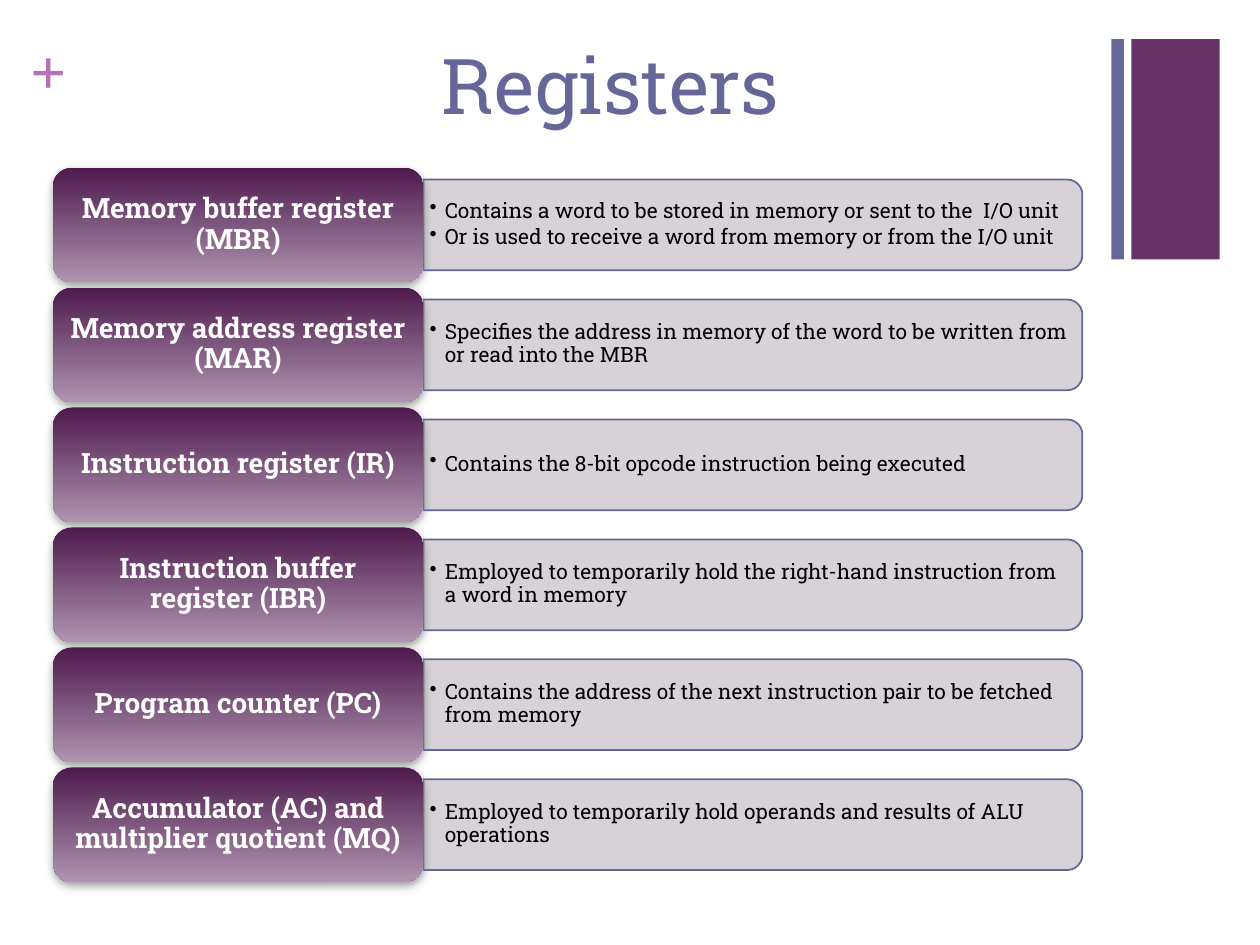
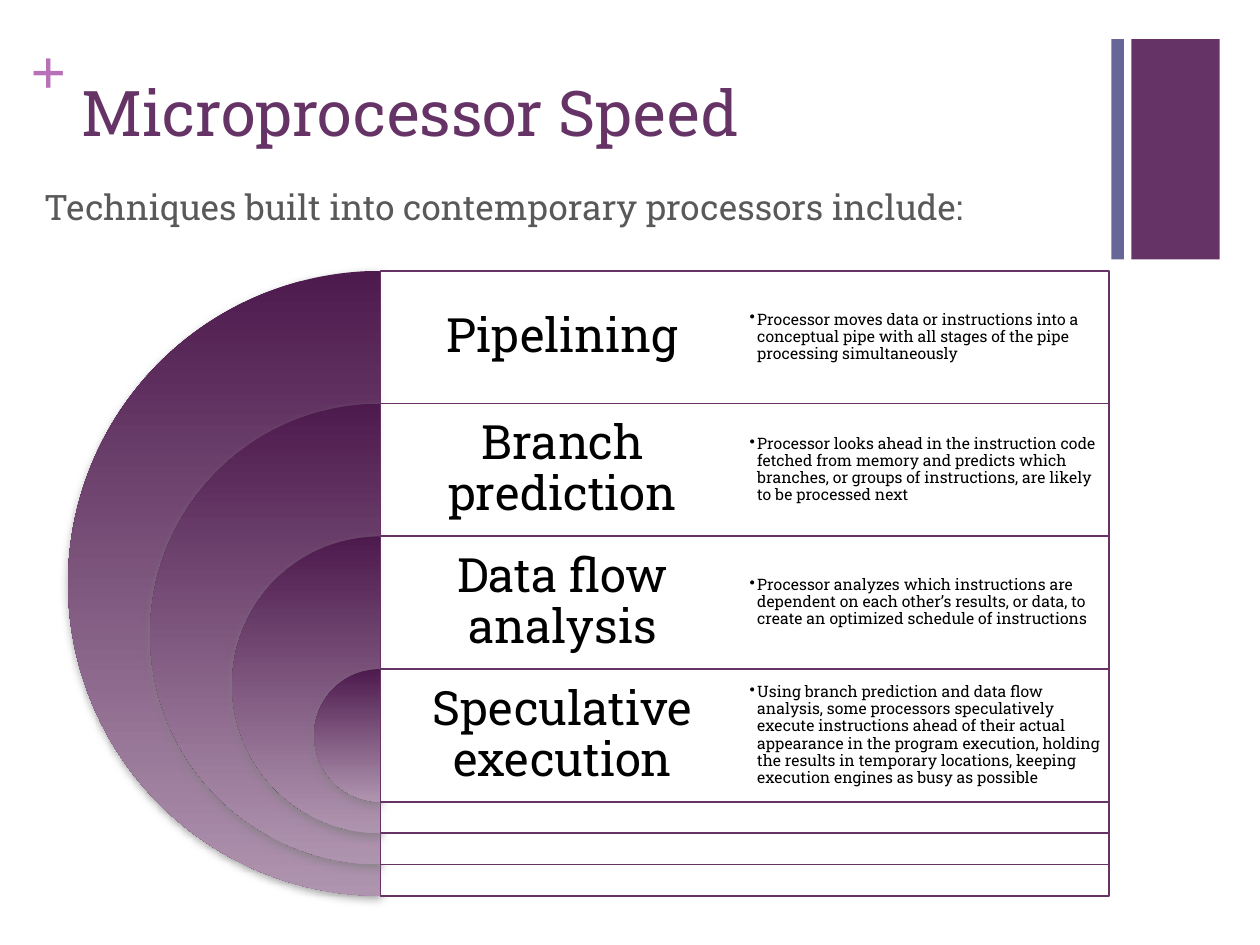
from lxml import etree
from pptx import Presentation
from pptx.dml.color import RGBColor
from pptx.enum.shapes import MSO_SHAPE
from pptx.enum.text import MSO_ANCHOR, MSO_AUTO_SIZE, PP_ALIGN
from pptx.oxml.ns import qn
from pptx.util import Inches, Pt

RECT = MSO_SHAPE.RECTANGLE
ROUNDED = MSO_SHAPE.ROUNDED_RECTANGLE
ROUND_TOP = MSO_SHAPE.ROUND_2_SAME_RECTANGLE
PIE = MSO_SHAPE.PIE
TOP, MIDDLE = MSO_ANCHOR.TOP, MSO_ANCHOR.MIDDLE
LEFT, CENTER, RIGHT = PP_ALIGN.LEFT, PP_ALIGN.CENTER, PP_ALIGN.RIGHT
NO_FIT = MSO_AUTO_SIZE.NONE

PURPLE = RGBColor(0x66, 0x33, 0x66)
SLATE = RGBColor(0x66, 0x66, 0x99)
ORCHID = RGBColor(0xB8, 0x70, 0xB8)
DEEP_PLUM = RGBColor(0x4D, 0x1A, 0x4D)
PALE_PLUM = RGBColor(0xAF, 0x94, 0xAF)
BAR_GRAY = RGBColor(0xD3, 0xCE, 0xD3)
TEXT_GRAY = RGBColor(0x59, 0x59, 0x59)
SHADOW_GRAY = RGBColor(0x80, 0x80, 0x80)
BLACK = RGBColor(0, 0, 0)
WHITE = RGBColor(0xFF, 0xFF, 0xFF)

FONT = "Roboto Slab"
MARK_FONT = "Times New Roman"
TITLE_ONLY, TITLE_AND_BODY = 5, 1

REGISTERS = [
    ("Memory buffer register (MBR)",
     ["Contains a word to be stored in memory or sent to the  I/O unit",
      "Or is used to receive a word from memory or from the I/O unit"]),
    ("Memory address register (MAR)",
     ["Specifies the address in memory of the word to be written from or read into the MBR"]),
    ("Instruction register (IR)",
     ["Contains the 8-bit opcode instruction being executed"]),
    ("Instruction buffer register (IBR)",
     ["Employed to temporarily hold the right-hand instruction from a word in memory"]),
    ("Program counter (PC)",
     ["Contains the address of the next instruction pair to be fetched from memory"]),
    ("Accumulator (AC) and multiplier quotient (MQ)",
     ["Employed to temporarily hold operands and results of ALU operations"]),
]

TECHNIQUES = [
    ("Pipelining",
     "Processor moves data or instructions into a conceptual pipe with all stages "
     "of the pipe processing simultaneously"),
    ("Branch prediction",
     "Processor looks ahead in the instruction code fetched from memory and predicts "
     "which branches, or groups of instructions, are likely to be processed next"),
    ("Data flow analysis",
     "Processor analyzes which instructions are dependent on each other’s results, "
     "or data, to create an optimized schedule of instructions"),
    ("Speculative execution",
     "Using branch prediction and data flow analysis, some processors speculatively "
     "execute instructions ahead of their actual appearance in the program execution, "
     "holding the results in temporary locations, keeping execution engines as busy "
     "as possible"),
]


def add_run(p, text, size, color, bold=False, font=FONT):
    r = p.add_run()
    r.text = text
    r.font.name = font
    r.font.size = Pt(size)
    r.font.bold = bold
    r.font.color.rgb = color


def set_frame(tf, inset_x, inset_y, anchor=MIDDLE):
    tf.word_wrap = True
    tf.auto_size = NO_FIT
    tf.vertical_anchor = anchor
    tf.margin_left = tf.margin_right = Inches(inset_x)
    tf.margin_top = tf.margin_bottom = Inches(inset_y)


def add_text_frame(slide, box, inset_x, inset_y):
    tf = slide.shapes.add_textbox(*map(Inches, box)).text_frame
    set_frame(tf, inset_x, inset_y)
    return tf


def write_label(tf, text, size, color, bold=False):
    p = tf.paragraphs[0]
    p.alignment = CENTER
    p.line_spacing = 0.9
    add_run(p, text, size, color, bold)


def write_bullets(tf, items, size, indent):
    for i, item in enumerate(items):
        p = tf.add_paragraph() if i else tf.paragraphs[0]
        p.level = 1
        pPr = p._p.get_or_add_pPr()
        pPr.set("marL", str(Inches(indent)))
        pPr.set("indent", str(-Inches(indent)))
        etree.SubElement(pPr, qn("a:buChar"), char="•")
        p.alignment = LEFT
        p.line_spacing = 0.9
        p.space_after = Pt(2)
        add_run(p, item, size, BLACK)


def add_solid(slide, kind, box, fill, line=None, opacity=None):
    sp = slide.shapes.add_shape(kind, *map(Inches, box))
    sp.shadow.inherit = False
    sp.fill.solid()
    sp.fill.fore_color.rgb = fill
    if opacity:
        clr = sp._element.spPr.find(qn("a:solidFill"))[0]
        etree.SubElement(clr, qn("a:alpha"), val=str(opacity * 1000))
    if line is None:
        sp.line.fill.background()
    else:
        sp.line.color.rgb = line
        sp.line.width = Pt(1)
    return sp


def add_gradient(slide, kind, box):
    sp = slide.shapes.add_shape(kind, *map(Inches, box))
    sp.fill.gradient()
    sp.fill.gradient_angle = 270
    for stop, color in zip(sp.fill.gradient_stops, (DEEP_PLUM, PALE_PLUM)):
        stop.color.rgb = color
    sp.line.fill.background()
    sp.shadow.inherit = False
    effects = sp._element.spPr.find(qn("a:effectLst"))
    shadow = etree.SubElement(effects, qn("a:outerShdw"), blurRad=str(Pt(5)),
                              dist=str(Pt(2)), dir="5400000", rotWithShape="0")
    clr = etree.SubElement(shadow, qn("a:srgbClr"), val=str(SHADOW_GRAY))
    etree.SubElement(clr, qn("a:alpha"), val="75000")
    return sp


def fill_placeholder(ph, box, text, size, color, align=LEFT):
    ph.left, ph.top, ph.width, ph.height = map(Inches, box)
    set_frame(ph.text_frame, 0.1, 0.05, TOP)
    p = ph.text_frame.paragraphs[0]
    p.alignment = align
    add_run(p, text, size, color)
    return p


def add_slide(prs, layout, title, box, size, color, align=LEFT):
    slide = prs.slides.add_slide(prs.slide_layouts[layout])
    fill_placeholder(slide.shapes.title, box, title, size, color, align)
    add_solid(slide, RECT, (8.98, 0.31, 0.7, 1.75), PURPLE)
    add_solid(slide, RECT, (8.82, 0.31, 0.1, 1.75), SLATE)
    tf = add_text_frame(slide, (0.24, 0.25, 0.29, 0.61), 0, 0)
    tf.vertical_anchor = TOP
    tf.word_wrap = False
    add_run(tf.paragraphs[0], "+", 36, ORCHID, True, MARK_FONT)
    return slide


def add_register(slide, top, name, notes):
    bar_left, bar_w, bar_h, label_h = 3.36, 5.23, 0.72, 0.91
    middle = top + label_h / 2
    bar = add_solid(slide, ROUND_TOP,
                    (bar_left + (bar_w - bar_h) / 2, middle - bar_w / 2, bar_h, bar_w),
                    BAR_GRAY, SLATE, 90)
    bar.rotation = 90
    tf = add_text_frame(slide, (bar_left, middle - 0.33, 5.19, 0.65), 0.05, 0.03)
    write_bullets(tf, notes, 12, 0.12)
    label = add_gradient(slide, ROUNDED, (0.42, top, 2.94, label_h))
    set_frame(label.text_frame, 0.07, 0.03)
    write_label(label.text_frame, name, 16, WHITE, True)


def add_technique(slide, top, diameter, row_h, name, note):
    axis, panel_w = 3.02, 5.78
    column = panel_w / 2
    pie = add_gradient(slide, PIE, (axis - diameter / 2, top, diameter, diameter))
    pie.adjustments[0], pie.adjustments[1] = 54, 162
    add_solid(slide, RECT, (axis, top, panel_w, diameter), WHITE, PURPLE, 90)
    tf = add_text_frame(slide, (axis, top, column, row_h), 0.11, 0.11)
    write_label(tf, name, 27, BLACK)
    tf = add_text_frame(slide, (axis + column, top, column, row_h), 0.04, 0.04)
    write_bullets(tf, [note], 9, 0.06)


def build_registers(prs):
    slide = add_slide(prs, TITLE_ONLY, "Registers", (0, 0.25, 6.29, 1.22),
                      44, SLATE, RIGHT)
    pitch = (6.09 - 1.33) / (len(REGISTERS) - 1)
    for i, (name, notes) in enumerate(REGISTERS):
        add_register(slide, 1.33 + i * pitch, name, notes)


def build_speed(prs):
    slide = add_slide(prs, TITLE_AND_BODY, "Microprocessor Speed",
                      (0.55, 0.53, 8.26, 1.22), 36, PURPLE)
    p = fill_placeholder(slide.placeholders[1], (0.25, 1.42, 8.27, 0.67),
                         "Techniques built into contemporary processors include:",
                         20, TEXT_GRAY)
    pPr = p._p.get_or_add_pPr()
    pPr.set("marL", str(Inches(0.25)))
    pPr.set("indent", str(-Inches(0.25)))
    etree.SubElement(pPr, qn("a:buNone"))
    p.space_before = Pt(0)

    steps = len(TECHNIQUES) - 1
    row_h = (5.31 - 2.15) / steps
    shrink = (4.96 - row_h) / steps
    for i, (name, note) in enumerate(TECHNIQUES):
        add_technique(slide, 2.15 + i * row_h, 4.96 - i * shrink, row_h, name, note)


def main():
    prs = Presentation()
    prs.slide_width, prs.slide_height = Inches(10), Inches(7.5)
    build_registers(prs)
    build_speed(prs)
    prs.save("out.pptx")


if __name__ == "__main__":
    main()
